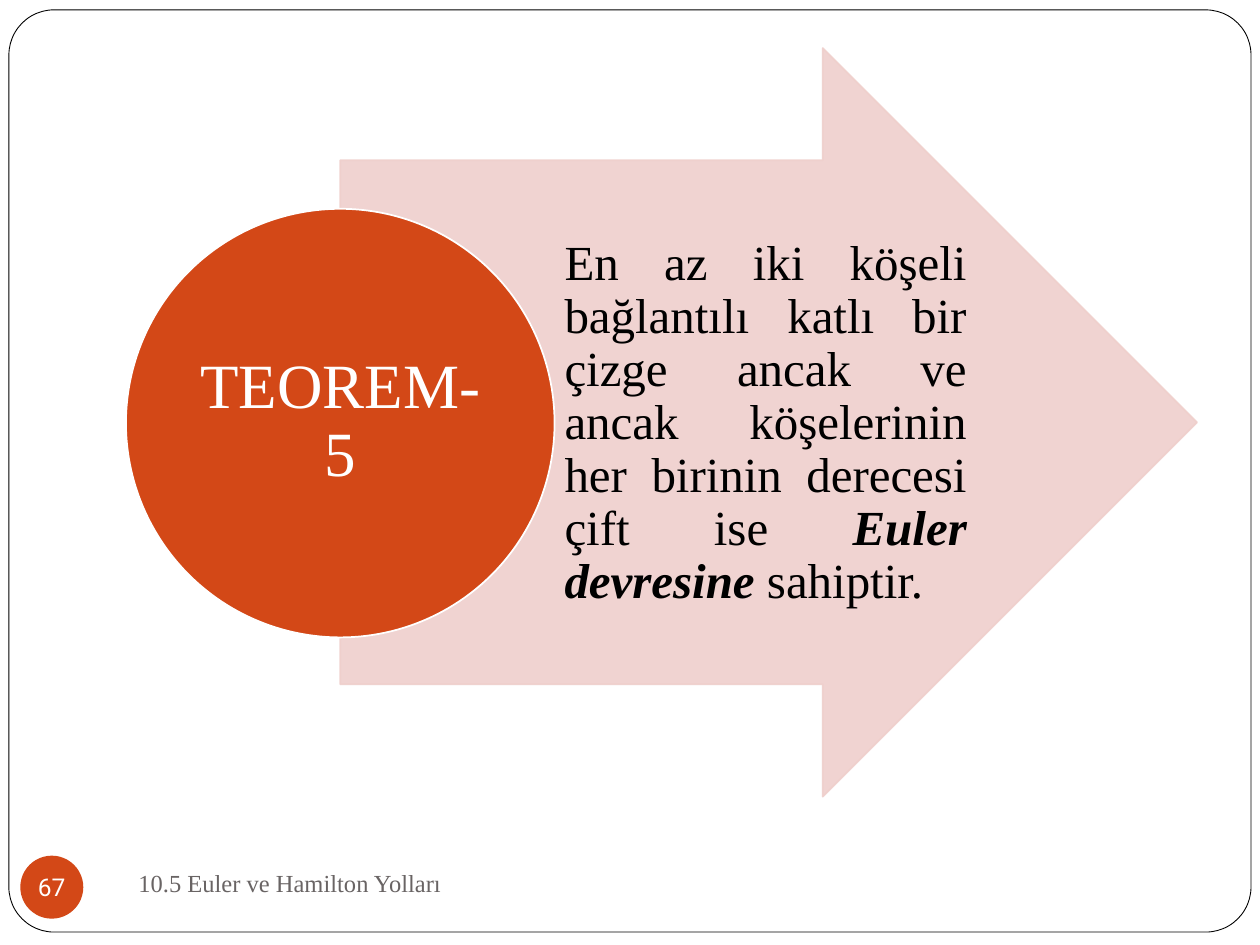
"""Build the Theorem 5 slide on Euler circuits."""
from dataclasses import dataclass
from typing import Optional

from lxml.etree import SubElement
from pptx import Presentation
from pptx.dml.color import RGBColor
from pptx.enum.shapes import MSO_SHAPE as Preset
from pptx.enum.text import MSO_ANCHOR as Anchor, MSO_AUTO_SIZE as AutoSize, PP_ALIGN as Align
from pptx.oxml.ns import qn
from pptx.util import Cm, Pt

WHITE = RGBColor(0xFF, 0xFF, 0xFF)
BLACK = RGBColor(0x00, 0x00, 0x00)
GREY = RGBColor(0x69, 0x64, 0x64)
ORANGE = RGBColor(0xD3, 0x48, 0x17)
PINK = RGBColor(0xEF, 0xCF, 0xCC)
SERIF = "Times New Roman"
SANS = "Roboto"


@dataclass(frozen=True)
class Area:
    left: float
    top: float
    width: float
    height: float

    def lengths(self) -> tuple:
        return Cm(self.left), Cm(self.top), Cm(self.width), Cm(self.height)


@dataclass(frozen=True)
class Figure:
    preset: Preset
    area: Area
    fill: RGBColor
    line: Optional[RGBColor] = None
    line_width: float = 1
    adjustments: tuple = ()
    opacity: int = 100


@dataclass(frozen=True)
class Span:
    text: str
    emphasis: bool = False


@dataclass(frozen=True)
class Style:
    size: int
    color: RGBColor
    font: str = SERIF
    align: Align = Align.LEFT
    spacing: float = 1.0
    insets: tuple = (0.25, 0.13, 0.25, 0.13)
    wrap: bool = True


FRAME = Figure(Preset.ROUNDED_RECTANGLE, Area(0.18, 0.2, 25.04, 18.59), WHITE, BLACK, 0.5, (0.049,))
BADGE = Figure(Preset.OVAL, Area(0.41, 17.25, 1.27, 1.27), ORANGE)
ARROW = Figure(Preset.RIGHT_ARROW, Area(6.86, 0.97, 17.27, 15.09), PINK, PINK, 1, (0.7, 0.5), 90)
CIRCLE = Figure(Preset.OVAL, Area(2.54, 4.21, 8.64, 8.64), ORANGE, WHITE)

FOOTER_AREA = Area(2.54, 17.15, 11, 1.27)
THEOREM_AREA = Area(11.18, 3.25, 8.41, 10.57)
TITLE_AREA = Area(3.81, 5.46, 6.1, 6.1)

FOOTER_STYLE = Style(14, GREY)
BADGE_STYLE = Style(14, WHITE, SANS, Align.CENTER, insets=(0, 0, 0, 0), wrap=False)
THEOREM_STYLE = Style(28, BLACK, align=Align.JUSTIFY, spacing=0.9, insets=(0.2, 0.05, 0.1, 0.05))
TITLE_STYLE = Style(36, WHITE, align=Align.CENTER, spacing=0.9, insets=(0.08, 0.08, 0.08, 0.08))

THEOREM = [
    Span("En az iki köşeli bağlantılı katlı bir çizge ancak ve ancak "
         "köşelerinin her birinin derecesi çift ise "),
    Span("Euler devresine", emphasis=True),
    Span(" sahiptir."),
]


def draw_figure(page, figure: Figure):
    """Draw a preset shape with its fill, outline and opacity."""
    shape = page.shapes.add_shape(figure.preset, *figure.area.lengths())
    shape.shadow.inherit = False
    for index, value in enumerate(figure.adjustments):
        shape.adjustments[index] = value
    shape.fill.solid()
    shape.fill.fore_color.rgb = figure.fill
    if figure.line is None:
        shape.line.fill.background()
    else:
        shape.line.color.rgb = figure.line
        shape.line.width = Pt(figure.line_width)
    if figure.opacity < 100:
        for color in shape.element.spPr.iter(qn("a:srgbClr")):
            SubElement(color, qn("a:alpha"), val=str(figure.opacity * 1000))
    return shape


def write_text(box, spans: list[Span], style: Style) -> None:
    """Fill a box with one vertically centred paragraph."""
    frame = box.text_frame
    frame.auto_size = AutoSize.NONE
    frame.word_wrap = style.wrap
    frame.vertical_anchor = Anchor.MIDDLE
    (frame.margin_left, frame.margin_top,
     frame.margin_right, frame.margin_bottom) = map(Cm, style.insets)
    para = frame.paragraphs[0]
    para.alignment = style.align
    para.line_spacing = style.spacing
    para.space_before = Pt(0)
    for span in spans:
        run = para.add_run()
        run.text = span.text
        run.font.name = style.font
        run.font.size = Pt(style.size)
        run.font.color.rgb = style.color
        run.font.bold = run.font.italic = span.emphasis


def place_on_top(page, placeholder, area: Area) -> None:
    """Move a placeholder to an area, in front of the shapes drawn so far."""
    placeholder.left, placeholder.top, placeholder.width, placeholder.height = area.lengths()
    page.shapes.element.append(placeholder.element)


def remove_bullet(box) -> None:
    """Clear the bullet and indent of the first paragraph."""
    properties = box.text_frame.paragraphs[0]._p.get_or_add_pPr()
    properties.set("marL", "0")
    properties.set("indent", "0")
    SubElement(properties, qn("a:buNone"))


def main() -> None:
    """Build and save the deck."""
    deck = Presentation()
    deck.slide_width, deck.slide_height = Cm(25.4), Cm(19.05)
    page = deck.slides.add_slide(deck.slide_layouts[1])
    title, theorem = page.shapes.title, page.placeholders[1]

    draw_figure(page, FRAME)
    footer = page.shapes.add_textbox(*FOOTER_AREA.lengths())
    write_text(footer, [Span("10.5 Euler ve Hamilton Yolları")], FOOTER_STYLE)
    write_text(draw_figure(page, BADGE), [Span("67")], BADGE_STYLE)

    draw_figure(page, ARROW)
    place_on_top(page, theorem, THEOREM_AREA)
    remove_bullet(theorem)
    write_text(theorem, THEOREM, THEOREM_STYLE)

    draw_figure(page, CIRCLE)
    place_on_top(page, title, TITLE_AREA)
    write_text(title, [Span("TEOREM-5")], TITLE_STYLE)

    deck.save("out.pptx")


if __name__ == "__main__":
    main()
